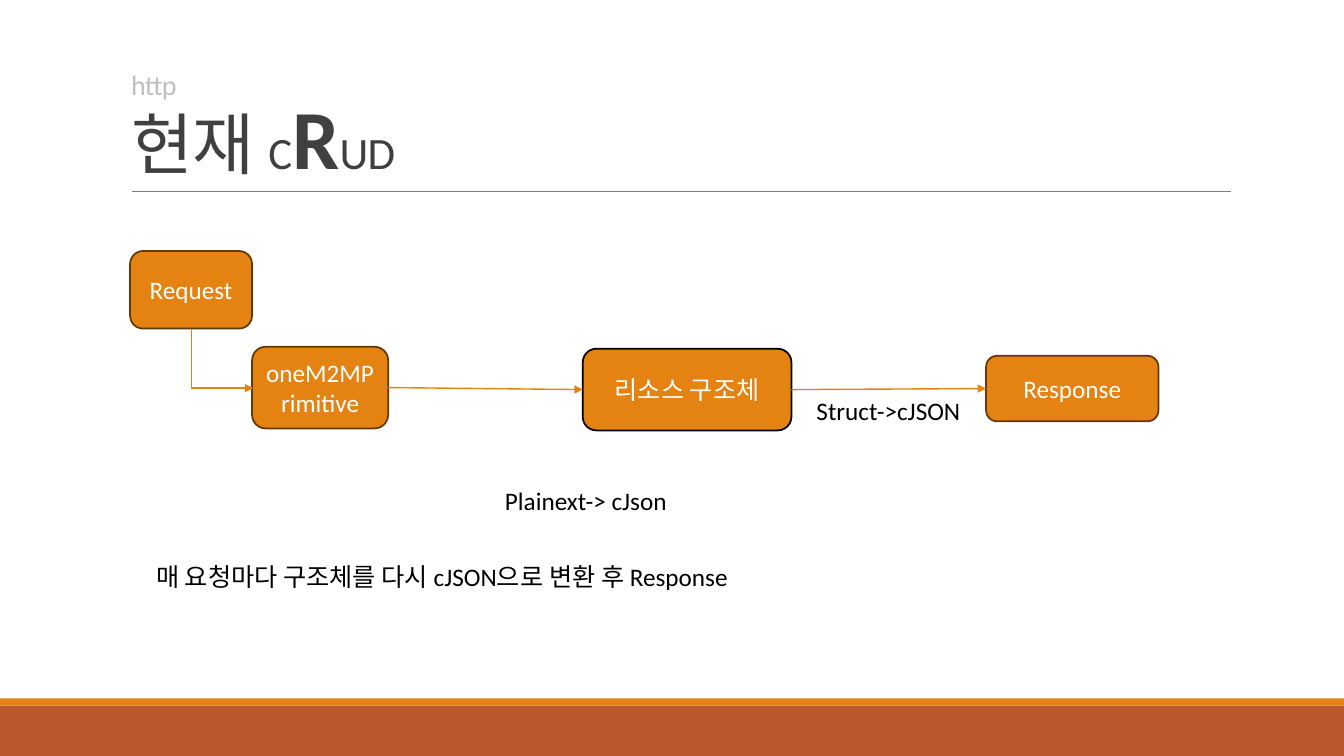
"""Build the slide on the current cRUD request and response flow."""
from copy import deepcopy

from pptx import Presentation
from pptx.dml.color import RGBColor
from pptx.enum.dml import MSO_LINE
from pptx.enum.shapes import MSO_CONNECTOR, MSO_SHAPE
from pptx.enum.text import MSO_ANCHOR, MSO_AUTO_SIZE, PP_ALIGN
from pptx.oxml.ns import qn
from pptx.util import Inches, Pt
from lxml.etree import SubElement

ORANGE = RGBColor(0xE4, 0x83, 0x12)
RUST = RGBColor(0xBD, 0x58, 0x2C)
BROWN = RGBColor(0x64, 0x39, 0x08)
RULE_GRAY = RGBColor(0x80, 0x80, 0x80)
LIGHT_GRAY = RGBColor(0xBF, 0xBF, 0xBF)
DARK_GRAY = RGBColor(0x40, 0x40, 0x40)
BLACK = RGBColor(0, 0, 0)
WHITE = RGBColor(0xFF, 0xFF, 0xFF)


def add_text(paragraph, text, size, color, bold=False):
    run = paragraph.add_run()
    run.text = text
    for name, value in {"name": "Calibri", "size": Pt(size), "bold": bold}.items():
        setattr(run.font, name, value)
    run.font.color.rgb = color
    return run


def add_line(kind, start, end, color, width, arrow=True):
    line = slide.shapes.add_connector(kind, *[Inches(v) for v in (*start, *end)])
    line.line.color.rgb = color
    line.line.width = Pt(width)
    line.line.dash_style = MSO_LINE.SOLID
    if arrow:
        SubElement(line.line._get_or_add_ln(), qn("a:tailEnd"), type="triangle")
    SubElement(line._element.spPr, qn("a:effectLst"))
    return line


presentation = Presentation()
presentation.slide_width = Inches(13.33)
presentation.slide_height = Inches(7.5)
slide = presentation.slides.add_slide(presentation.slide_layouts[5])

for top, height, color in [(7, 0.5, RUST), (6.93, 0.07, ORANGE)]:
    band = slide.shapes.add_shape(
        MSO_SHAPE.RECTANGLE, 0, Inches(top), Inches(13.33), Inches(height))
    band.shadow.inherit = False
    band.fill.solid()
    band.fill.fore_color.rgb = color
    band.line.fill.background()

add_line(MSO_CONNECTOR.STRAIGHT, (1.31, 1.9), (12.21, 1.9), RULE_GRAY, 0.5, arrow=False)

title = slide.shapes.title
title_place = {"left": 1.2, "top": 0.31, "width": 11, "height": 1.59}
for name, value in title_place.items():
    setattr(title, name, Inches(value))
title_format = {"auto_size": MSO_AUTO_SIZE.NONE, "word_wrap": True,
                "vertical_anchor": MSO_ANCHOR.BOTTOM}
for name, value in title_format.items():
    setattr(title.text_frame, name, value)
heading = title.text_frame.paragraphs[0]
heading.alignment = PP_ALIGN.LEFT
heading.line_spacing = 0.85
for text, size, color, bold in [
    ("http", 20, LIGHT_GRAY, False),
    ("현재 ", 48, DARK_GRAY, False),
    ("C", 32, DARK_GRAY, False),
    ("R", 60, DARK_GRAY, True),
    ("UD", 32, DARK_GRAY, False),
]:
    run = add_text(heading, text, size, color, bold)
    run.font._element.set("spc", "-50")
    if text == "http":
        heading.add_line_break()
        heading._p.findall(qn("a:br"))[0].append(deepcopy(run.font._element))

steps = []
for text, left, top, width, height, outline in [
    ("Request", 1.29, 2.49, 1.21, 0.77, BROWN),
    ("oneM2MPrimitive", 2.5, 3.44, 1.35, 0.81, BROWN),
    ("리소스 구조체", 5.78, 3.46, 2.07, 0.81, BLACK),
    ("Response", 9.78, 3.53, 1.71, 0.65, BROWN),
]:
    step = slide.shapes.add_shape(
        MSO_SHAPE.ROUNDED_RECTANGLE, *[Inches(v) for v in (left, top, width, height)])
    step.shadow.inherit = False
    step.fill.solid()
    step.fill.fore_color.rgb = ORANGE
    step.line.color.rgb = outline
    step.line.width = Pt(1.25)
    step.text_frame.word_wrap = True
    step.text_frame.vertical_anchor = MSO_ANCHOR.MIDDLE
    label = step.text_frame.paragraphs[0]
    label.alignment = PP_ALIGN.CENTER
    add_text(label, text, 18, WHITE)
    steps.append(step)

request, primitive, resource, response = steps
for source, target in [(primitive, resource), (resource, response)]:
    arrow = add_line(MSO_CONNECTOR.STRAIGHT, (0, 0), (1, 1), ORANGE, 1)
    arrow.begin_connect(source, 3)
    arrow.end_connect(target, 1)

bend = add_line(MSO_CONNECTOR.ELBOW, (1.9, 3.26), (2.5, 3.84), ORANGE, 1)
bend.begin_connect(request, 2)
bend.end_connect(primitive, 1)
bend_place = {"left": 1.91, "top": 3.25, "width": 0.59, "height": 0.61}
for name, value in bend_place.items():
    setattr(bend, name, Inches(value))
bend._element.spPr.find(qn("a:prstGeom")).set("prst", "bentConnector2")
bend_frame = bend._element.spPr.find(qn("a:xfrm"))
for name, value in {"rot": "16200000", "flipH": "1"}.items():
    bend_frame.set(name, value)

for text, left, top, width in [
    ("Plainext-> cJson", 4.91, 4.77, 1.82),
    ("Struct->cJSON", 8, 3.87, 1.64),
    ("매 요청마다 구조체를 다시 cJSON으로 변환 후 Response", 1.45, 5.52, 6.2),
]:
    note = slide.shapes.add_textbox(*[Inches(v) for v in (left, top, width, 0.4)])
    note.text_frame.word_wrap = False
    note.text_frame.auto_size = MSO_AUTO_SIZE.SHAPE_TO_FIT_TEXT
    add_text(note.text_frame.paragraphs[0], text, 18, BLACK)

presentation.save("out.pptx")
